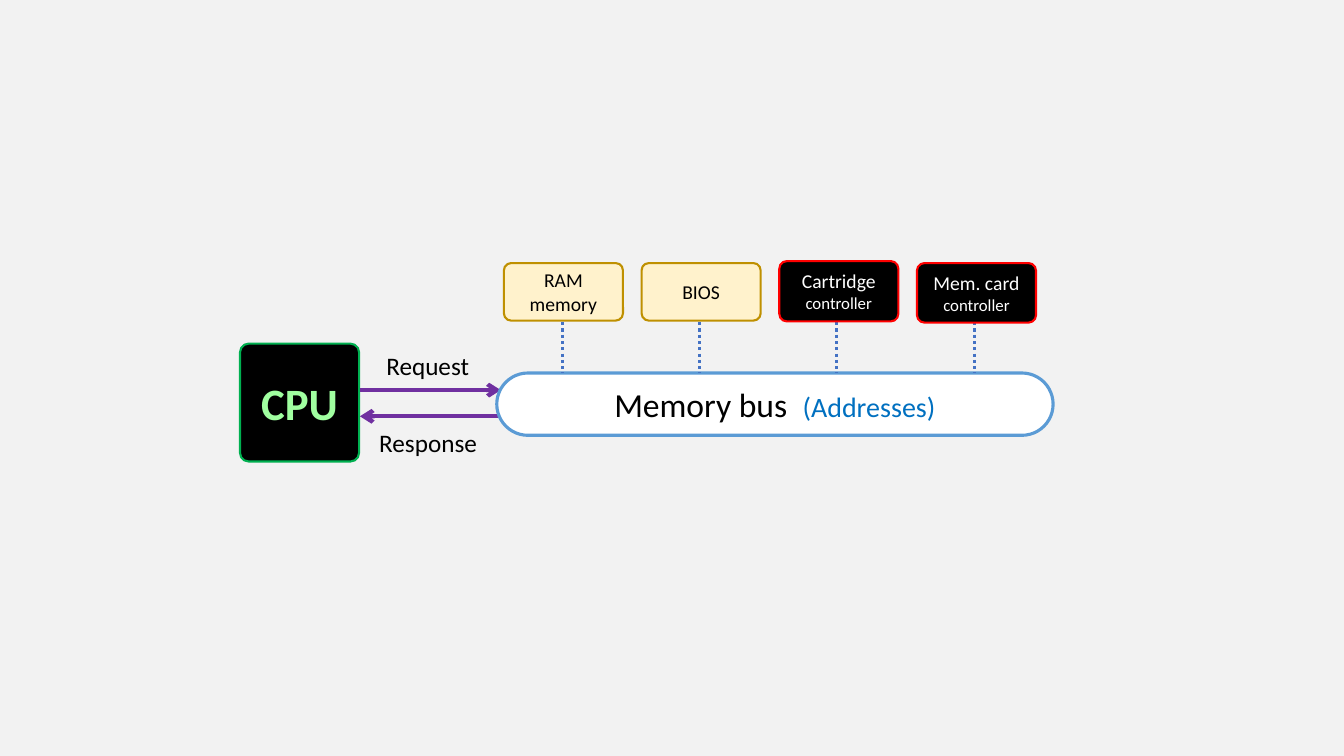
from pptx import Presentation
from pptx import util as u
from pptx.dml.color import RGBColor
from pptx.enum import dml, shapes, text
from pptx.oxml.ns import qn
from lxml import etree

FONT = "Calibri"
COLORS = {
    "background": "F2F2F2", "black": "000000", "white": "FFFFFF",
    "cpu_edge": "00B050", "cpu_text": "A0FFA0",
    "memory": "FFF2CC", "memory_edge": "BF9000", "controller_edge": "FF0000",
    "bus_edge": "5B9BD5", "addresses": "0070C0",
    "signal": "7030A0", "link": "4472C4",
}
# Devices above the bus: one column each
DEVICE_LEFT, DEVICE_PITCH, DEVICE_WIDTH = 12.7, 3.47, 3.0
LINK_LEFT, LINK_PITCH, LINK_TOP = 14.17, 3.46, 8.12
BUS_TOP = 9.4


def rgb(name):
    return RGBColor.from_string(COLORS[name])


def write(shape, runs):
    """Fill a shape with one centred line of (wording, size, colour) runs."""
    frame = shape.text_frame
    frame.word_wrap = True
    frame.vertical_anchor = text.MSO_ANCHOR.MIDDLE
    line = frame.paragraphs[0]
    line.alignment = text.PP_ALIGN.CENTER
    line.font.name = FONT
    _, first_size, first_color = runs[0]
    line.font.size = u.Pt(first_size)
    line.font.color.rgb = rgb(first_color)
    for wording, size, color in runs:
        run = line.add_run()
        run.text = wording
        if size != first_size:
            run.font.size = u.Pt(size)
        if color != first_color:
            run.font.color.rgb = rgb(color)
    return line


def add_box(slide, place, rounding, fill, edge, weight, runs):
    box = slide.shapes.add_shape(
        shapes.MSO_SHAPE.ROUNDED_RECTANGLE, *map(u.Cm, place))
    box.adjustments[0] = rounding
    box.shadow.inherit = False
    box.fill.solid()
    box.fill.fore_color.rgb = rgb(fill)
    box.line.color.rgb = rgb(edge)
    box.line.width = u.Pt(weight)
    return write(box, runs)


def add_label(slide, place, wording):
    label = slide.shapes.add_textbox(*map(u.Cm, place))
    write(label, [(wording, 18, "black")])


def add_line(slide, start, end, color, weight):
    line = slide.shapes.add_connector(
        shapes.MSO_CONNECTOR.STRAIGHT, *map(u.Cm, start + end))
    line.line.color.rgb = rgb(color)
    line.line.width = u.Pt(weight)
    etree.SubElement(line._element.spPr, qn("a:effectLst"))
    return line


def add_signal(slide, start, end):
    """Arrow pointing from start to end."""
    arrow = add_line(slide, start, end, "signal", 3)
    etree.SubElement(arrow.line._get_or_add_ln(), qn("a:tailEnd"), type="arrow")


def add_link(slide, x):
    """Dotted drop from a device to the bus."""
    link = add_line(slide, (x, LINK_TOP), (x, BUS_TOP), "link", 2.25)
    link.line.dash_style = dml.MSO_LINE.ROUND_DOT


def main():
    deck = Presentation()
    deck.slide_width, deck.slide_height = u.Cm(33.87), u.Cm(19.05)
    slide = deck.slides.add_slide(deck.slide_layouts[6])
    slide.background.fill.solid()
    slide.background.fill.fore_color.rgb = rgb("background")

    # Processor
    cpu = add_box(slide, (6.05, 8.66, 3.0, 2.97), 0.073, "black", "cpu_edge",
                  1.5, [("CPU", 32, "cpu_text")])
    cpu.font.bold = True

    # Traffic between processor and bus
    add_label(slide, (9.27, 8.71, 3.02, 1.02), "Request")
    add_label(slide, (9.09, 10.64, 3.4, 1.02), "Response")
    add_signal(slide, (9.07, 9.83), (12.62, 9.83))
    add_signal(slide, (12.6, 10.49), (9.07, 10.49))

    # Bus
    add_box(slide, (12.52, BUS_TOP, 14.02, 1.57), 0.5, "white", "bus_edge", 2.25,
            [("Memory bus  ", 24, "black"), ("(Addresses)", 20, "addresses")])

    # Devices and their links
    memory = ("memory", "memory_edge")
    controller = ("black", "controller_edge")
    controller_run = ("controller", 12, "white")
    devices = [
        (6.63, 1.45, memory, [("RAM memory", 14, "black")]),
        (6.63, 1.45, memory, [("BIOS", 14, "black")]),
        (6.58, 1.52, controller, [("Cartridge ", 14, "white"), controller_run]),
        (6.63, 1.5, controller, [("Mem. card ", 14, "white"), controller_run]),
    ]
    for column, (top, height, (fill, edge), runs) in enumerate(devices):
        add_link(slide, LINK_LEFT + column * LINK_PITCH)
        left = DEVICE_LEFT + column * DEVICE_PITCH
        add_box(slide, (left, top, DEVICE_WIDTH, height), 0.125, fill, edge,
                1.5, runs)

    deck.save("out.pptx")


if __name__ == "__main__":
    main()
